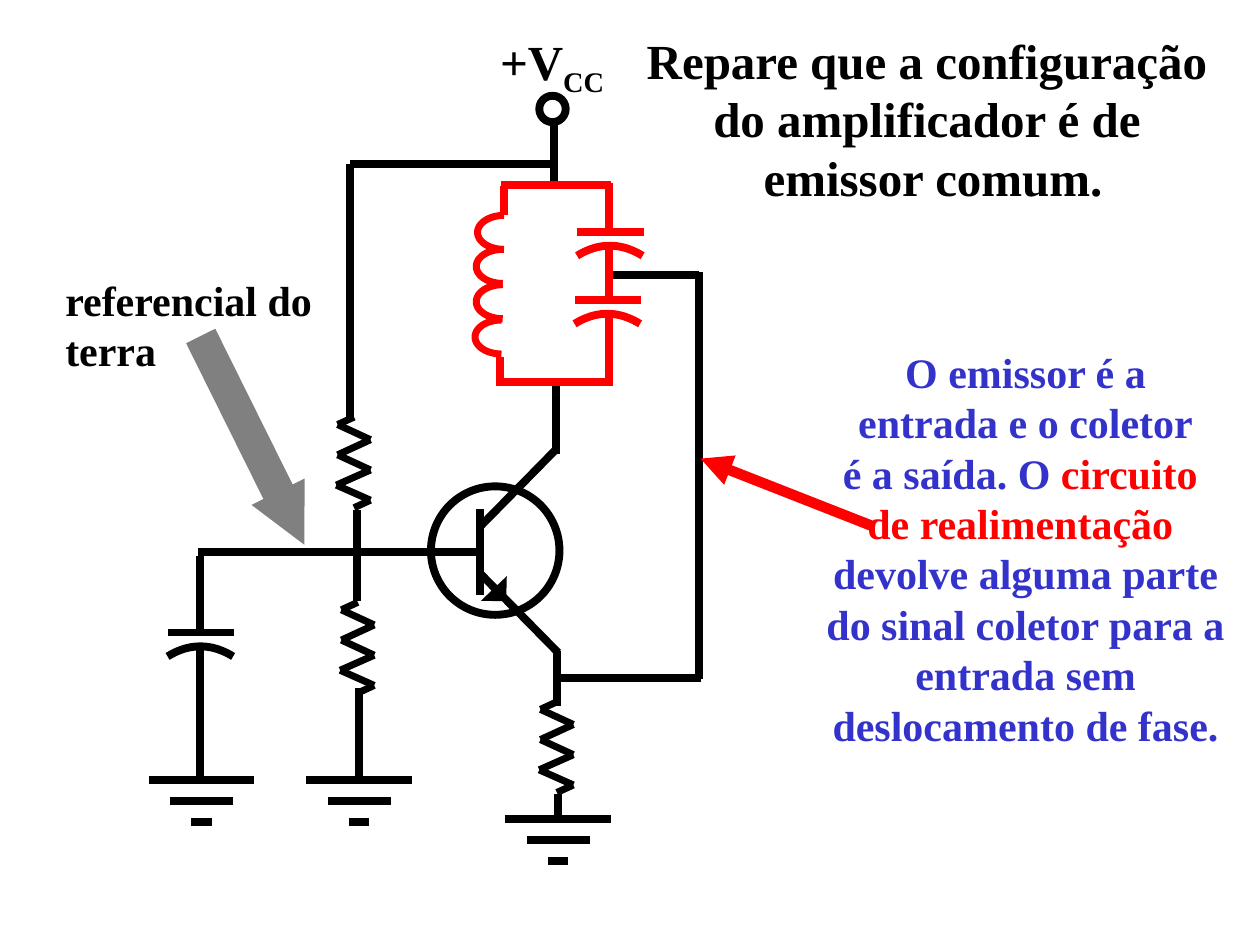
import math
from itertools import pairwise
from lxml import etree
from pptx import Presentation, util as u
from pptx.dml.color import RGBColor
from pptx.enum import shapes, text
from pptx.oxml.ns import qn

BLACK, RED, BLUE, GREY = "000000", "FF0000", "3333CC", "808080"
rgb = RGBColor.from_string

prs = Presentation()
prs.slide_width, prs.slide_height = u.Inches(10), u.Inches(7.5)
s = prs.slides.add_slide(prs.slide_layouts[6])
# Grid of 10 columns by 7.5 rows
col, row = prs.slide_width / 10, prs.slide_height / 7.5


def wire(x1, y1, x2, y2, color=BLACK, width=4.5):
    sp = s.shapes.add_connector(shapes.MSO_CONNECTOR.STRAIGHT, int(x1 * col),
                                int(y1 * row), int(x2 * col), int(y2 * row))
    sp.line.color.rgb = rgb(color)
    sp.line.width = u.Pt(width)
    etree.SubElement(sp._element.spPr, qn("a:effectLst"))
    return sp


def curve(points, color, width):
    pts = [(int(x * col), int(y * row)) for x, y in points]
    fb = s.shapes.build_freeform(*pts[0], scale=1.0)
    fb.add_line_segments(pts[1:], close=False)
    sp = fb.convert_to_shape()
    sp.shadow.inherit = False
    sp.fill.background()
    sp.line.color.rgb = rgb(color)
    sp.line.width = u.Pt(width)


# Black wires
for ends in [
    (4.81, 2.18, 5.55, 2.18), (5.55, 2.16, 5.55, 5.39), (4.41, 5.38, 5.56, 5.38),  # feedback
    (4.40, 0.99, 4.40, 1.46), (4.39, 1.30, 2.78, 1.30), (2.78, 1.30, 2.78, 3.31),  # supply
    (2.83, 4.05, 2.83, 4.77), (2.85, 5.46, 2.85, 6.17),                            # divider
    (1.57, 4.38, 3.80, 4.38), (1.59, 4.41, 1.59, 5.02), (1.59, 5.14, 1.59, 6.18),  # base
    (3.81, 4.04, 3.81, 4.72), (3.81, 4.18, 4.42, 3.56), (3.82, 4.56, 4.43, 5.18),  # transistor
    (4.41, 3.03, 4.41, 3.60), (4.42, 5.17, 4.42, 5.60), (4.43, 6.30, 4.43, 6.50),  # collector, emitter
]:
    wire(*ends)

# Transistor body and supply terminal
for x, y, d in [(3.42, 3.86, 1.02), (4.28, 0.76, 0.21)]:
    sp = s.shapes.add_shape(shapes.MSO_SHAPE.OVAL, int(x * col), int(y * row),
                            int(d * col), int(d * row))
    sp.shadow.inherit = False
    sp.fill.background()
    sp.line.color.rgb = rgb(BLACK)
    sp.line.width = u.Pt(4.5)

# Emitter arrowhead and grey pointer
for kind, x, y, w, h, angle, color in [
    (shapes.MSO_SHAPE.RIGHT_TRIANGLE, 3.82, 4.57, 0.2, 0.2, 271.3, BLACK),
    (shapes.MSO_SHAPE.DOWN_ARROW, 1.77, 2.57, 0.47, 1.85, 333.6, GREY),
]:
    sp = s.shapes.add_shape(kind, int(x * col), int(y * row), int(w * col), int(h * row))
    sp.shadow.inherit = False
    sp.rotation = angle
    sp.fill.solid()
    sp.fill.fore_color.rgb = rgb(color)
    sp.line.fill.background()
sp.adjustments[0], sp.adjustments[1] = 0.55, 1

# Resistors
zigzag = [(0.14, 0), (0.01, 0.06), (0.27, 0.18), (0.01, 0.3),
          (0.27, 0.42), (0, 0.54), (0.27, 0.66), (0.14, 0.72)]
for x, y in [(2.67, 3.31), (2.70, 4.78), (4.28, 5.57)]:
    for (x1, y1), (x2, y2) in pairwise(zigzag):
        wire(x + x1, y + y1, x + x2, y + y2, width=4)

# Grounds
for x, y in [(1.6, 6.19), (2.85, 6.19), (4.43, 6.5)]:
    for i, half in enumerate([0.42, 0.25, 0.08]):
        wire(x - half, y + i / 6, x + half, y + i / 6)

# Resonant circuit wires
for ends in [
    (3.98, 1.47, 4.85, 1.47), (3.98, 3.03, 4.82, 3.03), (4.00, 1.48, 4.00, 1.71),
    (3.97, 2.83, 3.97, 3.06), (4.83, 1.45, 4.83, 1.85), (4.83, 1.96, 4.83, 2.37),
    (4.83, 2.47, 4.83, 3.06),
]:
    wire(*ends, RED)

# Capacitors: a flat plate over a bowed one
for x, y, color in [(1.33, 5.02, BLACK), (4.58, 1.84, RED), (4.56, 2.38, RED)]:
    wire(x, y, x + 0.53, y, color)
    curve([(x + 0.26 + 0.026 * i, y + 0.11 + 0.08 * (i / 10) ** 2)
           for i in range(-10, 11)], color, 4.5)

# Coil: four half turns
for x, y in [(4.00, 1.71), (3.99, 1.98), (3.99, 2.26), (3.98, 2.54)]:
    turns = [math.pi * i / 24 for i in range(25)]
    curve([(x - 0.21 * math.sin(t), y + 0.135 * (1 - math.cos(t))) for t in turns], RED, 4)

# Texts: each line is a list of (text, colour) runs
left, center = text.PP_ALIGN.LEFT, text.PP_ALIGN.CENTER
for x, y, w, h, size, align, lines in [
    (3.87, 0.20, 1.15, 0.63, 28, left, [[("+V", BLACK), ("CC", BLACK)]]),
    (5.03, 0.19, 4.75, 1.50, 28, center, [
        [("Repare que a configuração ", BLACK)],
        [("do amplificador é de ", BLACK)],
        [("emissor comum.", BLACK)]]),
    (6.46, 2.70, 3.36, 3.30, 24, center, [
        [("O emissor é a", BLUE)],
        [("entrada e o coletor", BLUE)],
        [("é a saída. O ", BLUE), ("circuito ", RED)],
        [("de realimentação ", RED)],
        [("devolve alguma parte", BLUE)],
        [("do sinal coletor para a", BLUE)],
        [("entrada sem", BLUE)],
        [("deslocamento de fase.", BLUE)]]),
    (0.42, 2.13, 2.17, 0.90, 24, left, [
        [("referencial do", BLACK)], [("terra", BLACK)]]),
]:
    tf = s.shapes.add_textbox(int(x * col), int(y * row), int(w * col), int(h * row)).text_frame
    tf.word_wrap = False
    tf.auto_size = text.MSO_AUTO_SIZE.NONE
    for i, line in enumerate(lines):
        p = tf.add_paragraph() if i else tf.paragraphs[0]
        p.alignment = align
        for words, color in line:
            r = p.add_run()
            r.text = words
            for name, value in {"name": "Times New Roman", "size": u.Pt(size), "bold": True}.items():
                setattr(r.font, name, value)
            r.font.color.rgb = rgb(color)
            if words == "CC":
                r.font._element.set("baseline", "-25000")

# Red arrow to the feedback wire
sp = wire(6.91, 4.17, 5.56, 3.64, RED, 6)
etree.SubElement(sp.line._get_or_add_ln(), qn("a:tailEnd"), type="triangle")

prs.save("out.pptx")
